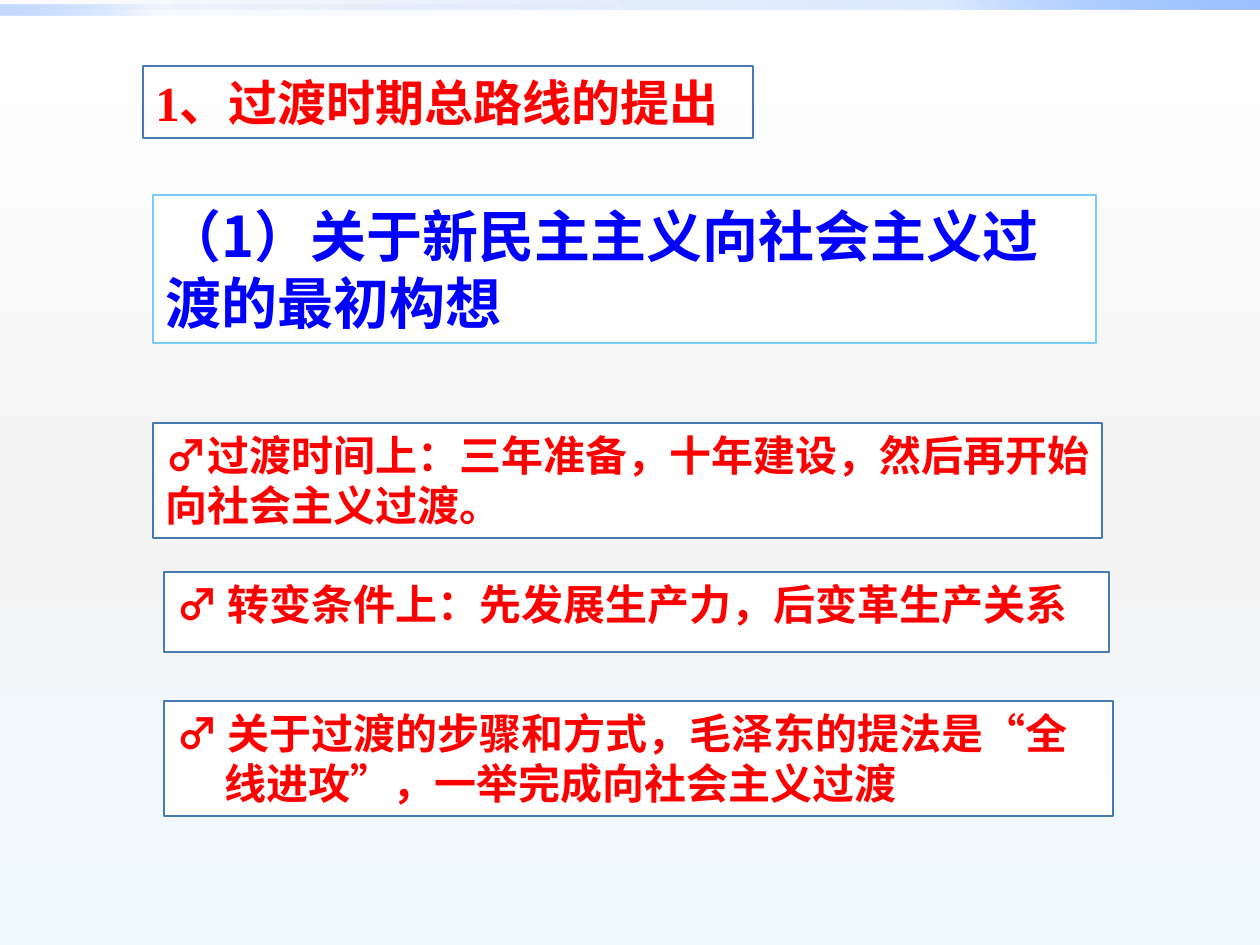
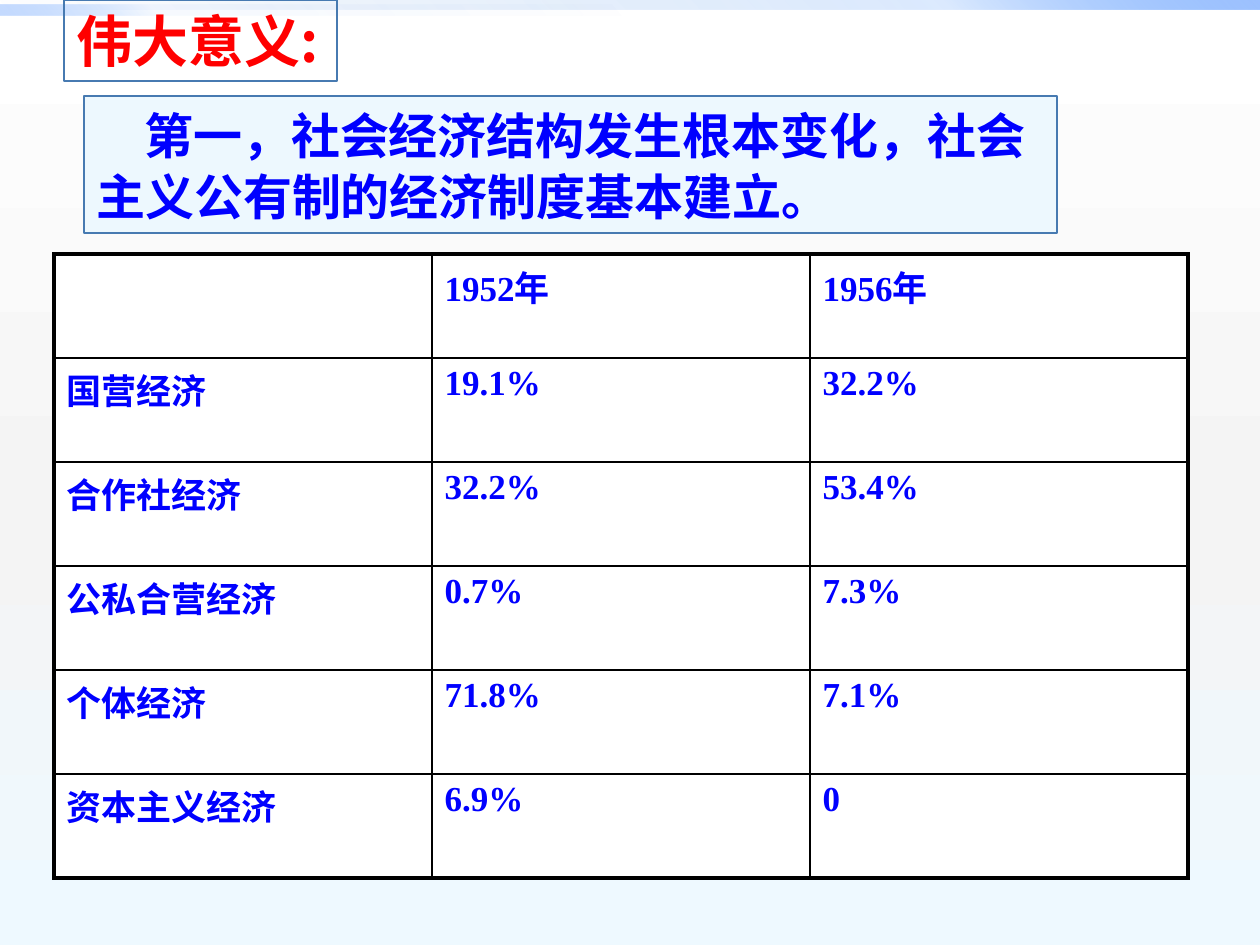
from pptx import Presentation, util as u
from pptx.dml.color import RGBColor
from pptx.enum import shapes, text
from pptx.oxml import ns
from lxml import etree

PX = 914400 / 126
WIDTH, HEIGHT = 1260, 945
COLORS = {
    "red": "FF0000", "blue": "0000FF", "white": "FFFFFF", "black": "000000",
    "pale": "EDF8FE", "frame": "477AB1", "sky": "79CBF8",
    "page_mid": "F4F4F4", "page_end": "EEF9FF",
    "band_start": "0058B7", "band_mid": "4F95FF", "band_end": "9EC2FF",
}
CJK = "Noto Sans CJK SC"
SERIF = "Times New Roman"
SANS = "Arial"

# Gradient stops: position %, colour, opacity %
PAGE_STOPS = [(0, "white", 100), (55, "page_mid", 100), (100, "page_end", 100)]
BANDS = [
    ((0, 0, WIDTH, 10), 315,
     [(0, "band_start", 0), (75, "band_mid", 20), (100, "band_end", 100)]),
    ((0, 5, 630, 10), 135,
     [(0, "band_start", 0), (75, "band_mid", 5), (100, "band_end", 60)]),
]

ECONOMY_SHARES = [
    ("", "1952年", "1956年"),
    ("国营经济", "19.1%", "32.2%"),
    ("合作社经济", "32.2%", "53.4%"),
    ("公私合营经济", "0.7%", "7.3%"),
    ("个体经济", "71.8%", "7.1%"),
    ("资本主义经济", "6.9%", "0"),
]


def px(length):
    return u.Emu(round(length * PX))


def rgb(color):
    return RGBColor.from_string(COLORS[color])


def add_child(parent, tag, **attributes):
    return etree.SubElement(parent, ns.qn(tag), attributes)


def set_gradient(owner, fill, angle, stops):
    """Fill with stops that may be transparent; the angle runs clockwise."""
    fill.gradient()
    gradient = owner.element.find(".//" + ns.qn("a:gradFill"))
    stop_list = gradient.find(ns.qn("a:gsLst"))
    stop_list.clear()
    for position, color, opacity in stops:
        stop = add_child(stop_list, "a:gs", pos=str(position * 1000))
        tint = add_child(stop, "a:srgbClr", val=COLORS[color])
        if opacity < 100:
            add_child(tint, "a:alpha", val=str(opacity * 1000))
    gradient.find(ns.qn("a:lin")).set("ang", str(angle * 60000))


def add_rectangle(slide, box):
    rectangle = slide.shapes.add_shape(
        shapes.MSO_SHAPE.RECTANGLE, *(px(length) for length in box))
    rectangle.shadow.inherit = False
    return rectangle


def add_page(prs):
    """Add a blank slide with the shared background and top bands."""
    slide = prs.slides.add_slide(prs.slide_layouts[6])
    set_gradient(slide, slide.background.fill, 90, PAGE_STOPS)
    for box, angle, stops in BANDS:
        band = add_rectangle(slide, box)
        set_gradient(band, band.fill, angle, stops)
        band.line.fill.background()
    return slide


def format_runs(paragraph, size, font, color, east_asian=CJK):
    for run in paragraph.runs:
        run.font.size = u.Pt(size)
        run.font.bold = True
        run.font.name = font
        run.font.color.rgb = rgb(color)
        add_child(run.font._element, "a:ea", typeface=east_asian)


def add_framed_text(slide, box, words, size, font, color, fill="white",
                    frame="frame", weight=0.75, wrap=True, margin=0, indent=0,
                    spacing=None, east_asian=CJK):
    panel = add_rectangle(slide, box)
    if fill:
        panel.fill.solid()
        panel.fill.fore_color.rgb = rgb(fill)
    else:
        panel.fill.background()
    panel.line.color.rgb = rgb(frame)
    panel.line.width = u.Pt(weight)

    body = panel.text_frame
    body.word_wrap = wrap
    body.vertical_anchor = text.MSO_ANCHOR.TOP
    body.text = words
    paragraph = body.paragraphs[0]
    paragraph.alignment = text.PP_ALIGN.LEFT
    if spacing:
        paragraph.line_spacing = spacing
    if margin or indent:
        properties = paragraph._p.get_or_add_pPr()
        properties.set("marL", str(px(margin)))
        properties.set("indent", str(px(indent)))
    format_runs(paragraph, size, font, color, east_asian)


def set_borders(cell, outer_sides):
    """Draw thick lines on the outer sides and thin ones elsewhere."""
    properties = cell._tc.get_or_add_tcPr()
    for side in "LRTB":
        weight = 2.25 if side in outer_sides else 1
        line = add_child(properties, f"a:ln{side}", w=str(u.Pt(weight)))
        paint = add_child(line, "a:solidFill")
        add_child(paint, "a:srgbClr", val=COLORS["black"])


def add_share_table(slide, left, top, column_width, row_height, rows):
    row_count, column_count = len(rows), len(rows[0])
    table = slide.shapes.add_table(
        row_count, column_count, px(left), px(top),
        px(column_width * column_count), px(row_height * row_count)).table
    for column in table.columns:
        column.width = px(column_width)
    for r, row in enumerate(rows):
        table.rows[r].height = px(row_height)
        for c, words in enumerate(row):
            cell = table.cell(r, c)
            edges = {"L": c == 0, "R": c == column_count - 1,
                     "T": r == 0, "B": r == row_count - 1}
            set_borders(cell, [side for side in edges if edges[side]])
            cell.fill.solid()
            cell.fill.fore_color.rgb = rgb("white")
            if words:
                cell.text_frame.text = words
                format_runs(cell.text_frame.paragraphs[0], 20, SERIF, "blue")


def build_general_line(prs):
    slide = add_page(prs)
    add_framed_text(slide, (143, 66, 610, 72), "1、过渡时期总路线的提出",
                    28, SERIF, "red", fill=None, wrap=False)
    add_framed_text(slide, (153, 195, 943, 148),
                    "（1）关于新民主主义向社会主义过渡的最初构想",
                    32, CJK, "blue", frame="sky")
    add_framed_text(slide, (153, 423, 949, 115),
                    "♂过渡时间上：三年准备，十年建设，然后再开始向社会主义过渡。",
                    24, SANS, "red")
    add_framed_text(slide, (164, 572, 945, 80),
                    "♂ 转变条件上：先发展生产力，后变革生产关系",
                    24, SANS, "red", weight=1, margin=48, indent=-48)
    add_framed_text(slide, (164, 701, 949, 115),
                    "♂ 关于过渡的步骤和方式，毛泽东的提法是“全线进攻”，一举完成向社会主义过渡",
                    24, SANS, "red", margin=48, indent=-48)


def build_significance(prs):
    slide = add_page(prs)
    add_framed_text(slide, (84, 96, 973, 137),
                    "第一，社会经济结构发生根本变化，社会主义公有制的经济制度基本建立。",
                    28, SERIF, "blue", fill="pale", weight=1, indent=48,
                    spacing=1.05)
    add_framed_text(slide, (64, 0, 273, 81), "伟大意义:", 32,
                    "Noto Sans CJK JP", "red", fill=None, wrap=False,
                    east_asian="Noto Sans CJK JP")
    add_share_table(slide, 54, 254, 378, 104, ECONOMY_SHARES)


def main():
    prs = Presentation()
    prs.slide_width, prs.slide_height = px(WIDTH), px(HEIGHT)
    build_general_line(prs)
    build_significance(prs)
    prs.save("out.pptx")


if __name__ == "__main__":
    main()
